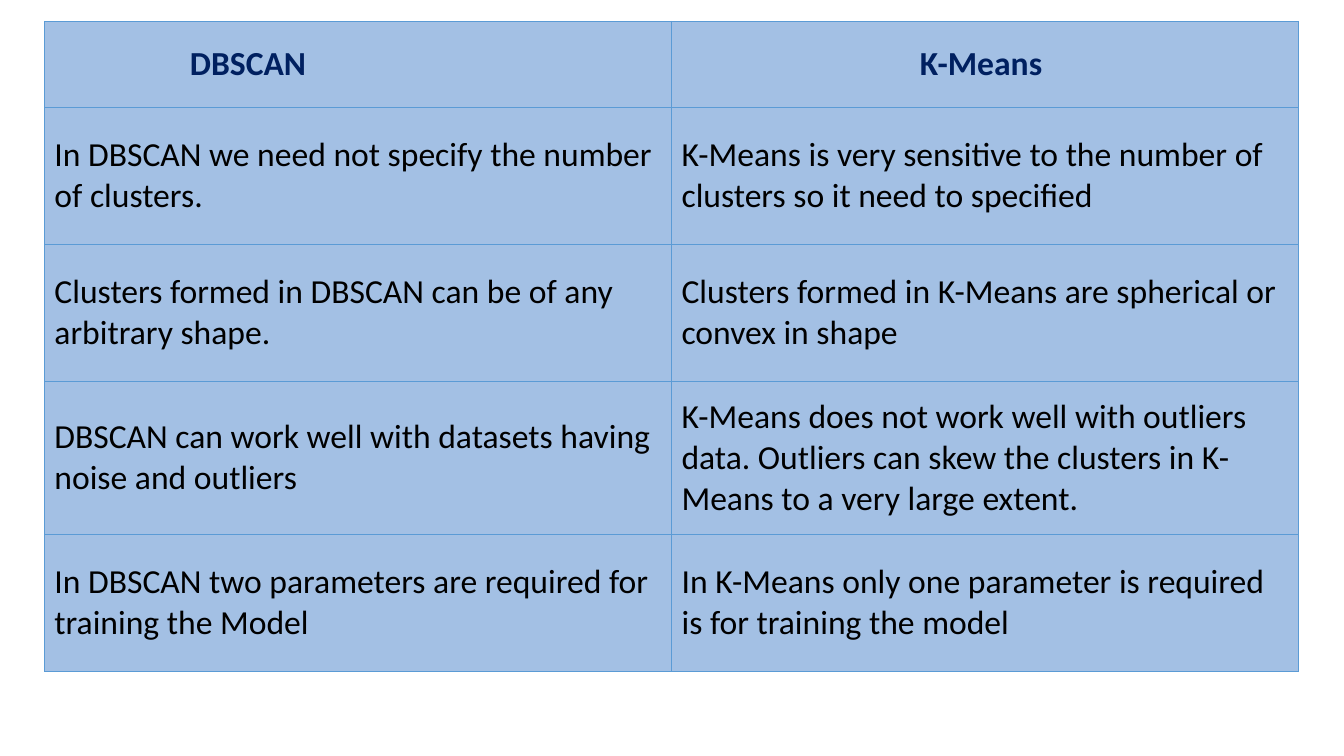
from pptx import Presentation
from pptx.dml.color import RGBColor as Color
from pptx.enum.text import MSO_ANCHOR as Anchor, PP_ALIGN as Align
from pptx.oxml import parse_xml as parse
from pptx.oxml.ns import nsdecls as names
from pptx.util import Inches, Pt


def tint(target, code):
    target.rgb = Color.from_string(code)


def border(cell, code, width):
    props = cell._tc.get_or_add_tcPr()
    for side in ("lnL", "lnR", "lnT", "lnB"):
        props.append(parse(
            f'<a:{side} {names("a")} w="{Pt(width)}"><a:solidFill>'
            f'<a:srgbClr val="{code}"/></a:solidFill></a:{side}>'))


rows = [
    ("DBSCAN", "K-Means"),
    ("In DBSCAN we need not specify the number\nof clusters.",
     "K-Means is very sensitive to the number of clusters so it need to specified"),
    ("Clusters formed in DBSCAN can be of any arbitrary shape.",
     "Clusters formed in K-Means are spherical or\nconvex in shape"),
    ("DBSCAN can work well with datasets having noise and outliers",
     "K-Means does not work well with outliers data. "
     "Outliers can skew the clusters in K-Means to a very large extent."),
    ("In DBSCAN two parameters are required for training the Model",
     "In K-Means only one parameter is required is for training the model"),
]
head = {"size": Pt(24), "name": "Calibri", "bold": True}
body = {**head, "bold": False}
insets = [(0.04, 2.22), (0.1, 0.18)]

deck = Presentation()
deck.slide_width = Inches(13.33)
deck.slide_height = Inches(7.5)
slide = deck.slides.add_slide(deck.slide_layouts[6])

frame = slide.shapes.add_table(
    len(rows), 2, Inches(0.44), Inches(0.21), Inches(12.44), Inches(6.29))
table = frame.table
table.first_row = False
table.horz_banding = False

for col in table.columns:
    col.width = Inches(6.22)

for r, texts in enumerate(rows):
    top = r == 0
    table.rows[r].height = Inches(0.85 if top else 1.36)
    for c, text in enumerate(texts):
        cell = table.cell(r, c)
        left, right = insets[c] if top else (0.1, 0.1)
        pad = Inches(0.1 if top else 0.15)
        layout = {
            "text": text,
            "vertical_anchor": Anchor.MIDDLE,
            "margin_left": Inches(left),
            "margin_right": Inches(right),
            "margin_top": pad,
            "margin_bottom": pad,
        }
        for key, value in layout.items():
            setattr(cell, key, value)
        border(cell, "5B9BD5", 0.5)
        cell.fill.solid()
        tint(cell.fill.fore_color, "A3C0E4")
        for para in cell.text_frame.paragraphs:
            para.alignment = Align.CENTER if top else Align.LEFT
            for run in para.runs:
                for key, value in (head if top else body).items():
                    setattr(run.font, key, value)
                tint(run.font.color, "002060" if top else "000000")

deck.save("out.pptx")
